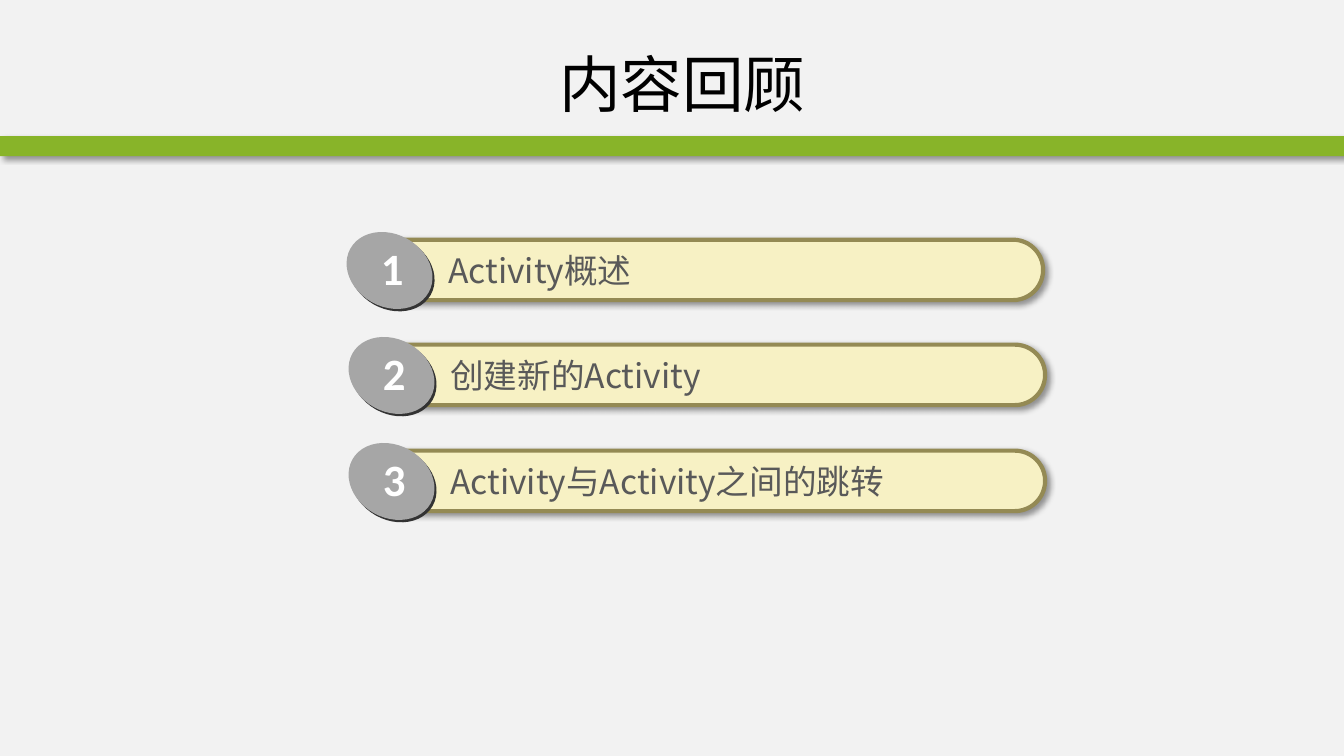
"""Build the review slide: a title, a green band and three numbered topics."""
from dataclasses import dataclass

import lxml.etree
import pptx
import pptx.dml.color
import pptx.enum.shapes
import pptx.enum.text
import pptx.oxml.ns
import pptx.shapes.autoshape
import pptx.shapes.group
import pptx.slide
import pptx.text.text
import pptx.util

Pt = pptx.util.Pt
RGB = pptx.dml.color.RGBColor
Shape = pptx.enum.shapes.MSO_SHAPE
Align = pptx.enum.text.PP_ALIGN
Anchor = pptx.enum.text.MSO_ANCHOR
AutoSize = pptx.enum.text.MSO_AUTO_SIZE
qn = pptx.oxml.ns.qn


@dataclass(frozen=True)
class Theme:
    background: str = "F2F2F2"
    band: str = "88B429"
    pill: str = "F7F1C4"
    pill_line: str = "948A54"
    disc: str = "A6A6A6"
    disc_edge: str = "333333"
    number: str = "FFFFFF"
    label: str = "595959"
    title: str = "000000"
    shadow: str = "000000"
    title_size: float = 44
    number_size: float = 32
    label_size: float = 24
    text_font: str = "Noto Sans CJK SC"
    number_font: str = "Calibri"


@dataclass(frozen=True)
class Box:
    left: float
    top: float
    width: float
    height: float

    def shifted(self, dx: float, dy: float) -> "Box":
        return Box(self.left + dx, self.top + dy, self.width, self.height)

    def lengths(self) -> list[pptx.util.Length]:
        return [Pt(n) for n in (self.left, self.top, self.width, self.height)]


@dataclass(frozen=True)
class Topic:
    number: str
    label: str
    left: float
    top: float


THEME = Theme()
BAND = Box(0, 97.2, 960, 14.4)
TITLE = Box(100, 21.6, 775, 75.6)
PILL = Box(0, 0, 483, 43.2)
LABEL = Box(51.1, 3.7, 384.5, 36.7)
DISC_EDGE = Box(-14.4, -2.2, 64.1, 51.8)
DISC = DISC_EDGE.shifted(-1.5, -1.7)
NUMBER = Box(2.9, -2.7, 31, 46)
DISC_TILT = 29.3
TOPICS = (
    Topic("1", "Activity概述", 262.1, 171.2),
    Topic("2", "创建新的Activity", 263.5, 246.2),
    Topic("3", "Activity与Activity之间的跳转", 263.5, 321.9),
)


def add_figure(shapes, kind: Shape, box: Box, fill: str) -> pptx.shapes.autoshape.Shape:
    figure = shapes.add_shape(kind, *box.lengths())
    figure.shadow.inherit = False
    figure.fill.solid()
    figure.fill.fore_color.rgb = RGB.from_string(fill)
    figure.line.fill.background()
    return figure


def cast_shadow(figure: pptx.shapes.autoshape.Shape) -> None:
    effects = figure.element.spPr.find(qn("a:effectLst"))
    shadow = lxml.etree.SubElement(
        effects, qn("a:outerShdw"), blurRad=str(Pt(4)), dist=str(Pt(3)),
        dir="2700000", algn="tl", rotWithShape="0")
    color = lxml.etree.SubElement(shadow, qn("a:srgbClr"), val=THEME.shadow)
    lxml.etree.SubElement(color, qn("a:alpha"), val="40000")


def write(paragraph: pptx.text.text._Paragraph, text: str, size: float,
          font: str, color: str, bold: bool = False) -> None:
    run = paragraph.add_run()
    run.text = text
    run.font.size = Pt(size)
    run.font.bold = bold
    run.font.color.rgb = RGB.from_string(color)
    run.font.name = font
    lxml.etree.SubElement(run.font._element, qn("a:ea"), typeface=font)


def add_text_frame(group: pptx.shapes.group.GroupShape, box: Box,
                   wrap: bool) -> pptx.text.text.TextFrame:
    frame = group.shapes.add_textbox(*box.lengths()).text_frame
    frame.word_wrap = wrap
    frame.auto_size = AutoSize.SHAPE_TO_FIT_TEXT
    return frame


def add_topic(slide: pptx.slide.Slide, topic: Topic) -> None:
    group = slide.shapes.add_group_shape()
    pill = add_figure(group.shapes, Shape.ROUNDED_RECTANGLE,
                      PILL.shifted(topic.left, topic.top), THEME.pill)
    pill.adjustments[0] = 0.5
    pill.line.color.rgb = RGB.from_string(THEME.pill_line)
    pill.line.width = Pt(3)
    cast_shadow(pill)

    label = add_text_frame(group, LABEL.shifted(topic.left, topic.top), True)
    write(label.paragraphs[0], topic.label, THEME.label_size,
          THEME.text_font, THEME.label)

    for box, fill in ((DISC_EDGE, THEME.disc_edge), (DISC, THEME.disc)):
        disc = add_figure(group.shapes, Shape.OVAL,
                          box.shifted(topic.left, topic.top), fill)
        disc.rotation = DISC_TILT

    number = add_text_frame(group, NUMBER.shifted(topic.left, topic.top), False)
    write(number.paragraphs[0], topic.number, THEME.number_size,
          THEME.number_font, THEME.number, bold=True)


def set_title(slide: pptx.slide.Slide, text: str) -> None:
    title = slide.shapes.title
    title.left, title.top, title.width, title.height = TITLE.lengths()
    frame = title.text_frame
    frame.auto_size = AutoSize.NONE
    frame.vertical_anchor = Anchor.MIDDLE
    frame.paragraphs[0].alignment = Align.CENTER
    write(frame.paragraphs[0], text, THEME.title_size, THEME.text_font, THEME.title)


def main() -> None:
    deck = pptx.Presentation()
    deck.slide_width, deck.slide_height = Pt(960), Pt(540)
    slide = deck.slides.add_slide(deck.slide_layouts[5])
    slide.background.fill.solid()
    slide.background.fill.fore_color.rgb = RGB.from_string(THEME.background)
    set_title(slide, "内容回顾")
    cast_shadow(add_figure(slide.shapes, Shape.RECTANGLE, BAND, THEME.band))
    for topic in TOPICS:
        add_topic(slide, topic)
    deck.save("out.pptx")


if __name__ == "__main__":
    main()
